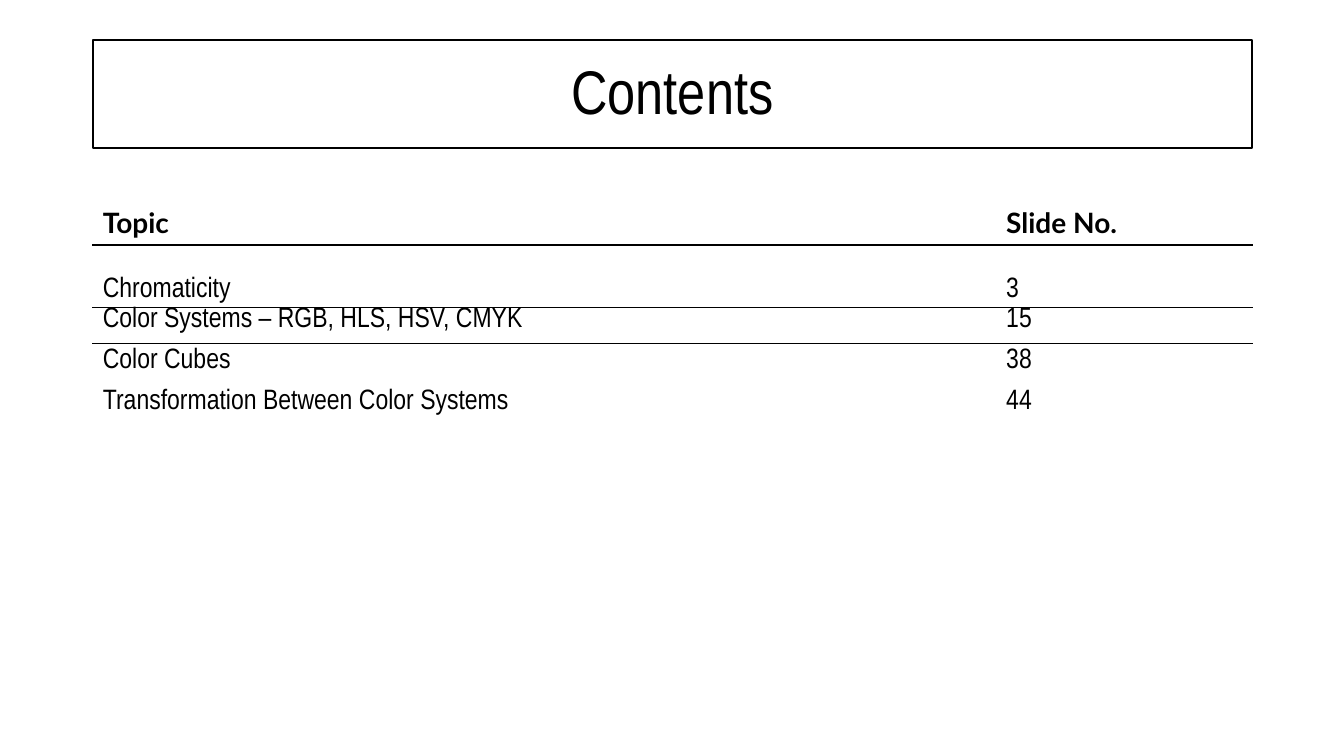
"""Build the contents slide: a framed heading above a table of topics."""
from lxml.etree import SubElement
from pptx import Presentation
from pptx.dml.color import RGBColor
from pptx.enum.shapes import MSO_SHAPE
from pptx.enum.text import MSO_ANCHOR, PP_ALIGN
from pptx.oxml.ns import qn
from pptx.util import Inches, Pt

COLORS = {"ink": "000000", "paper": "FFFFFF"}
INK = RGBColor.from_string(COLORS["ink"])
FONTS = {
    "title": {"name": "Arial Narrow", "size": Pt(44), "bold": False},
    "header": {"name": "Lato", "size": Pt(20), "bold": True},
    "entry": {"name": "Arial Narrow", "size": Pt(20), "bold": False},
}
LEFT, WIDTH = Inches(0.92), Inches(11.5)
CONTENTS = [
    ("Topic", "Slide No."),
    ("Chromaticity", "3"),
    ("Color Systems – RGB, HLS, HSV, CMYK", "15"),
    ("Color Cubes", "38"),
    ("Transformation Between Color Systems", "44"),
]
ROW_HEIGHTS = [0.43, 0.62, 0.36, 0.41, 0.41]
COLUMN_WIDTHS = [8.96, 2.54]
RULES = {0: [("a:lnB", 1)], 1: [("a:lnB", 1.25), ("a:lnT", 1)], 2: [("a:lnT", 1.25)]}


def format_text(paragraph, role):
    for attribute, value in FONTS[role].items():
        setattr(paragraph.font, attribute, value)
    paragraph.font.color.rgb = INK


def add_rule(cell, side, points):
    properties = cell._tc.get_or_add_tcPr()
    rule = SubElement(properties, qn(side), w=str(Pt(points)))
    fill = SubElement(rule, qn("a:solidFill"))
    SubElement(fill, qn("a:srgbClr"), val=COLORS["ink"])
    properties.insert(0, rule)


prs = Presentation()
prs.slide_width, prs.slide_height = Inches(13.33), Inches(7.5)
slide = prs.slides.add_slide(prs.slide_layouts[6])
slide.background.fill.solid()
slide.background.fill.fore_color.rgb = RGBColor.from_string(COLORS["paper"])

heading = slide.shapes.add_shape(MSO_SHAPE.RECTANGLE, LEFT, Inches(0.4), WIDTH, Inches(1.07))
heading.shadow.inherit = False
heading.fill.background()
heading.line.color.rgb = INK
heading.line.width = Pt(1.25)
heading.text_frame.vertical_anchor = MSO_ANCHOR.MIDDLE
heading_line = heading.text_frame.paragraphs[0]
heading_line.text = "Contents"
heading_line.alignment = PP_ALIGN.CENTER
heading_line.line_spacing = 0.9
format_text(heading_line, "title")

topics = slide.shapes.add_table(
    len(CONTENTS), len(COLUMN_WIDTHS), LEFT, Inches(2), WIDTH, Inches(sum(ROW_HEIGHTS))
).table
topics.first_row = topics.horz_banding = False
for column, width in zip(topics.columns, COLUMN_WIDTHS):
    column.width = Inches(width)

for index, (entries, height) in enumerate(zip(CONTENTS, ROW_HEIGHTS)):
    topics.rows[index].height = Inches(height)
    for cell, entry in zip(topics.rows[index].cells, entries):
        cell.fill.background()
        cell.margin_top = Inches(0 if index == 2 else 0.04)
        cell.margin_bottom = Inches(0.04)
        cell.vertical_anchor = MSO_ANCHOR.BOTTOM if index == 1 else MSO_ANCHOR.TOP
        cell.text = entry
        format_text(cell.text_frame.paragraphs[0], "entry" if index else "header")
        for side, points in RULES.get(index, []):
            add_rule(cell, side, points)

prs.save("out.pptx")
